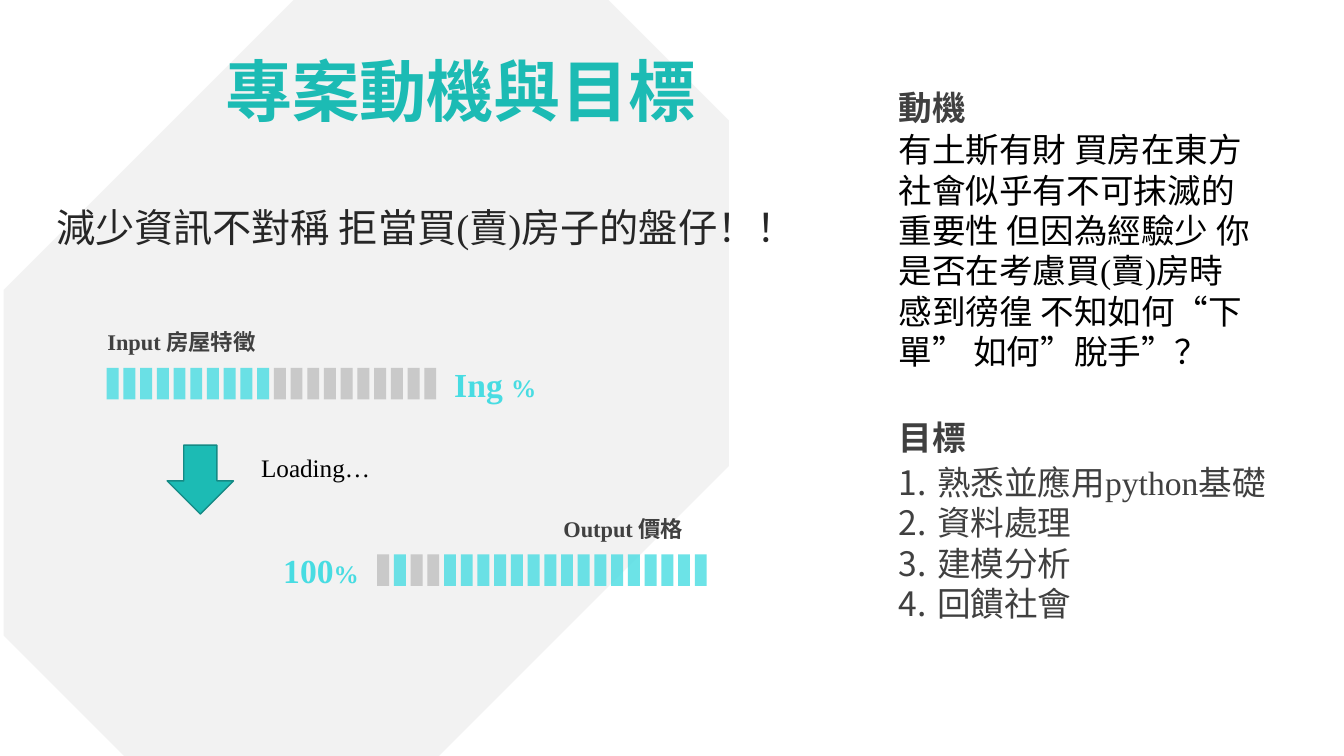
import pptx
import pptx.dml.color
import pptx.enum.shapes
import pptx.enum.text
import pptx.oxml.ns
import pptx.util
from lxml import etree

SHAPE = pptx.enum.shapes.MSO_SHAPE
ALIGN = pptx.enum.text.PP_ALIGN
ANCHOR = pptx.enum.text.MSO_ANCHOR
qn = pptx.oxml.ns.qn

# Slide grid: 160 columns by 90 rows of square cells
COLUMNS, ROWS = 160, 90
CELL = pptx.util.Inches(13.333) / COLUMNS
FONT = "Times New Roman"
TEAL, AQUA, SILVER = "1CBBB4", "48DCE2", "BFBFBF"
PALE, DARK, INK, BLACK = "F2F2F2", "404040", "262626", "000000"


def colour(code):
    return pptx.dml.color.RGBColor.from_string(code)


def place(origin, box):
    """Turn a grid box, relative to an origin cell, into slide lengths."""
    left, top, width, height = box
    cells = (origin[0] + left, origin[1] + top, width, height)
    return [round(cell * CELL) for cell in cells]


def add_shape(shapes, kind, frame, fill, line=None, alpha=None):
    shape = shapes.add_shape(kind, *frame)
    shape.shadow.inherit = False
    shape.fill.solid()
    shape.fill.fore_color.rgb = colour(fill)
    if alpha:
        tint = shape.fill._xPr.find(f"{qn('a:solidFill')}/{qn('a:srgbClr')}")
        etree.SubElement(tint, qn("a:alpha"), val=str(alpha * 1000))
    if line:
        shape.line.color.rgb = colour(line)
        shape.line.width = pptx.util.Pt(1)
    else:
        shape.line.fill.background()
    return shape


def number_paragraph(paragraph):
    properties = paragraph._p.get_or_add_pPr()
    indent = pptx.util.Inches(0.38)
    properties.set("marL", str(indent))
    properties.set("indent", str(-indent))
    etree.SubElement(properties, qn("a:buFont"), typeface="+mj-lt")
    etree.SubElement(properties, qn("a:buAutoNum"), type="arabicPeriod")


def write(holder, *paragraphs, size=24, color=DARK, bold=False, align=ALIGN.LEFT,
          anchor=ANCHOR.MIDDLE, wrap=True, numbered=False):
    """Fill a holder; a paragraph is a string or a list of (text, size) runs."""
    frame = holder.text_frame
    frame.word_wrap = wrap
    frame.auto_size = pptx.enum.text.MSO_AUTO_SIZE.SHAPE_TO_FIT_TEXT
    frame.vertical_anchor = anchor
    for index, content in enumerate(paragraphs):
        paragraph = frame.add_paragraph() if index else frame.paragraphs[0]
        paragraph.alignment = align
        paragraph.line_spacing = 1.0
        paragraph.space_before = pptx.util.Pt(0)
        if numbered:
            number_paragraph(paragraph)
        runs = [(content, size)] if isinstance(content, str) else content
        for words, run_size in runs:
            run = paragraph.add_run()
            run.text = words
            run.font.name = FONT
            run.font.size = pptx.util.Pt(run_size)
            run.font.bold = bold
            run.font.color.rgb = colour(color)


def add_text(slide, origin, box, *paragraphs, **style):
    write(slide.shapes.add_textbox(*place(origin, box)), *paragraphs, **style)


def move(placeholder, frame):
    (placeholder.left, placeholder.top,
     placeholder.width, placeholder.height) = frame


def add_headline(slide, origin):
    """Backdrop, title and slogan."""
    backdrop = add_shape(slide.shapes, SHAPE.SNIP_2_DIAG_RECTANGLE,
                         place(origin, (0.5, 0, 86.2, ROWS)), PALE, line=PALE)
    backdrop.adjustments[0] = 0.401
    backdrop.adjustments[1] = 0.167
    # The backdrop goes behind the placeholders
    slide.shapes._spTree.insert(2, backdrop._element)
    title = slide.shapes.title
    move(title, place(origin, (25.6, 5.2, 66.5, 10.9)))
    write(title, "專案動機與目標", size=48, color=TEAL, bold=True)
    add_text(slide, origin, (5.5, 23.6, 95.3, 6.9),
             "減少資訊不對稱 拒當買(賣)房子的盤仔！！", size=28, color=INK)


def add_progress(slide, origin, pattern, label, label_box, label_wrap,
                 percent, percent_box, percent_align):
    """Bar of cells (# is filled) with a label above and a percentage beside."""
    bar = slide.shapes.add_group_shape()
    for step, mark in enumerate(pattern):
        add_shape(bar.shapes, SHAPE.FLOWCHART_PROCESS,
                  place(origin, (step * 1.99, 0, 1.42, 3.75)),
                  AQUA if mark == "#" else SILVER, alpha=80)
    add_text(slide, origin, label_box, label, size=16, bold=True, wrap=label_wrap)
    add_text(slide, origin, percent_box, percent, color=AQUA, bold=True,
             align=percent_align, wrap=False)


def add_loading(slide, origin):
    """Arrow from input to output with its caption."""
    add_shape(slide.shapes, SHAPE.DOWN_ARROW, place(origin, (0, 0, 7.9, 8.2)),
              TEAL, line="158A85")
    add_text(slide, origin, (10, 0.3, 15.6, 4.8), "Loading…", size=18,
             color=BLACK, anchor=ANCHOR.TOP, wrap=False)


def add_heading(slide, origin, words):
    add_text(slide, origin, (0, 0, 45, 6), words, bold=True, anchor=ANCHOR.TOP)


def add_motive(slide, origin):
    add_heading(slide, origin, "動機")
    add_text(slide, origin, (0, 5.1, 45.1, 30.2),
             "有土斯有財 買房在東方社會似乎有不可抹滅的重要性 但因為經驗少 "
             "你是否在考慮買(賣)房時 感到徬徨 不知如何“下單” 如何”脫手”？",
             color=BLACK, anchor=ANCHOR.TOP)


def add_goals(slide, origin):
    add_heading(slide, origin, "目標")
    goals = slide.placeholders[1]
    move(goals, place(origin, (0, 5.4, 49.3, 20.6)))
    write(goals, "熟悉並應用python基礎", "資料處理", "建模分析", "回饋社會",
          anchor=ANCHOR.TOP, numbered=True)


def main():
    deck = pptx.Presentation()
    deck.slide_width = round(COLUMNS * CELL)
    deck.slide_height = round(ROWS * CELL)
    slide = deck.slides.add_slide(deck.slide_layouts[1])
    add_headline(slide, (0, 0))
    add_progress(slide, (12.7, 43.8), "#" * 10 + "-" * 10,
                 "Input 房屋特徵", (-1.1, -5.3, 20.3, 4.4), True,
                 [("Ing ", 24), ("%", 18)], (40.2, -1.1, 12.2, 6), ALIGN.LEFT)
    add_loading(slide, (19.9, 53))
    add_progress(slide, (44.9, 66), "-#--" + "#" * 16,
                 "Output 價格", (21, -5.3, 17.4, 4.4), False,
                 [("100", 24), ("%", 18)], (-12.5, -1.1, 11.5, 6), ALIGN.RIGHT)
    add_motive(slide, (105.8, 9.7))
    add_goals(slide, (105.8, 49))
    deck.save("out.pptx")


if __name__ == "__main__":
    main()
